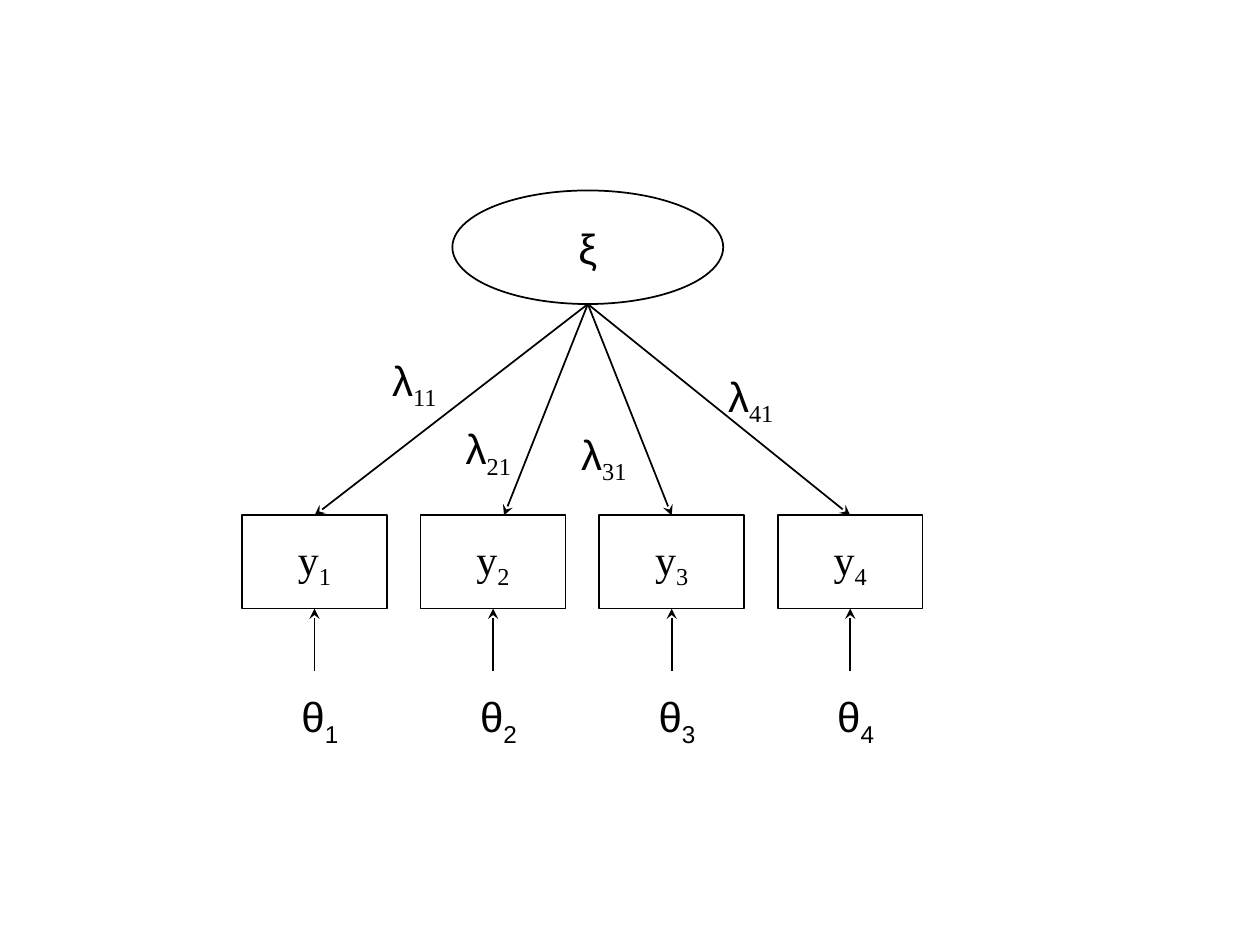
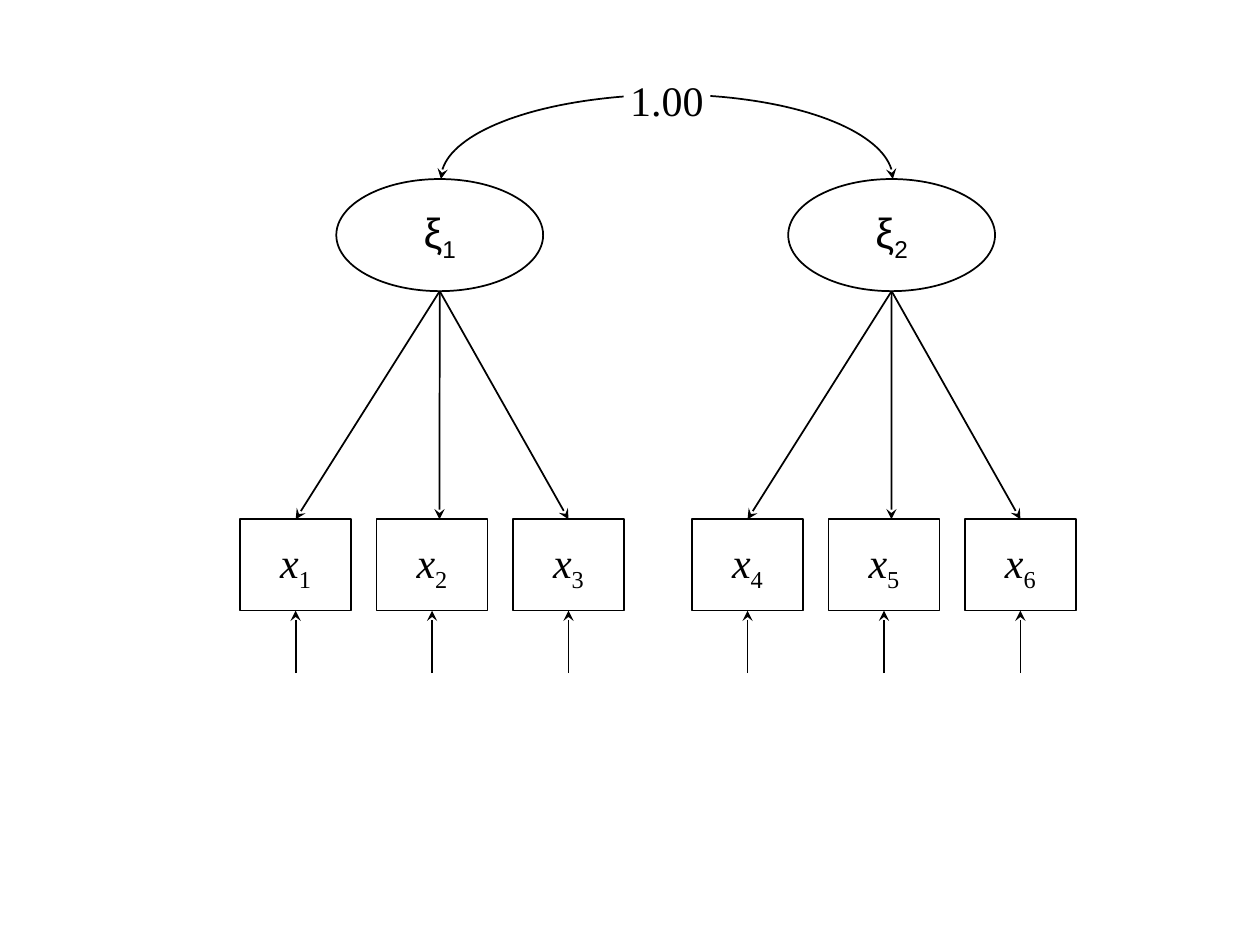
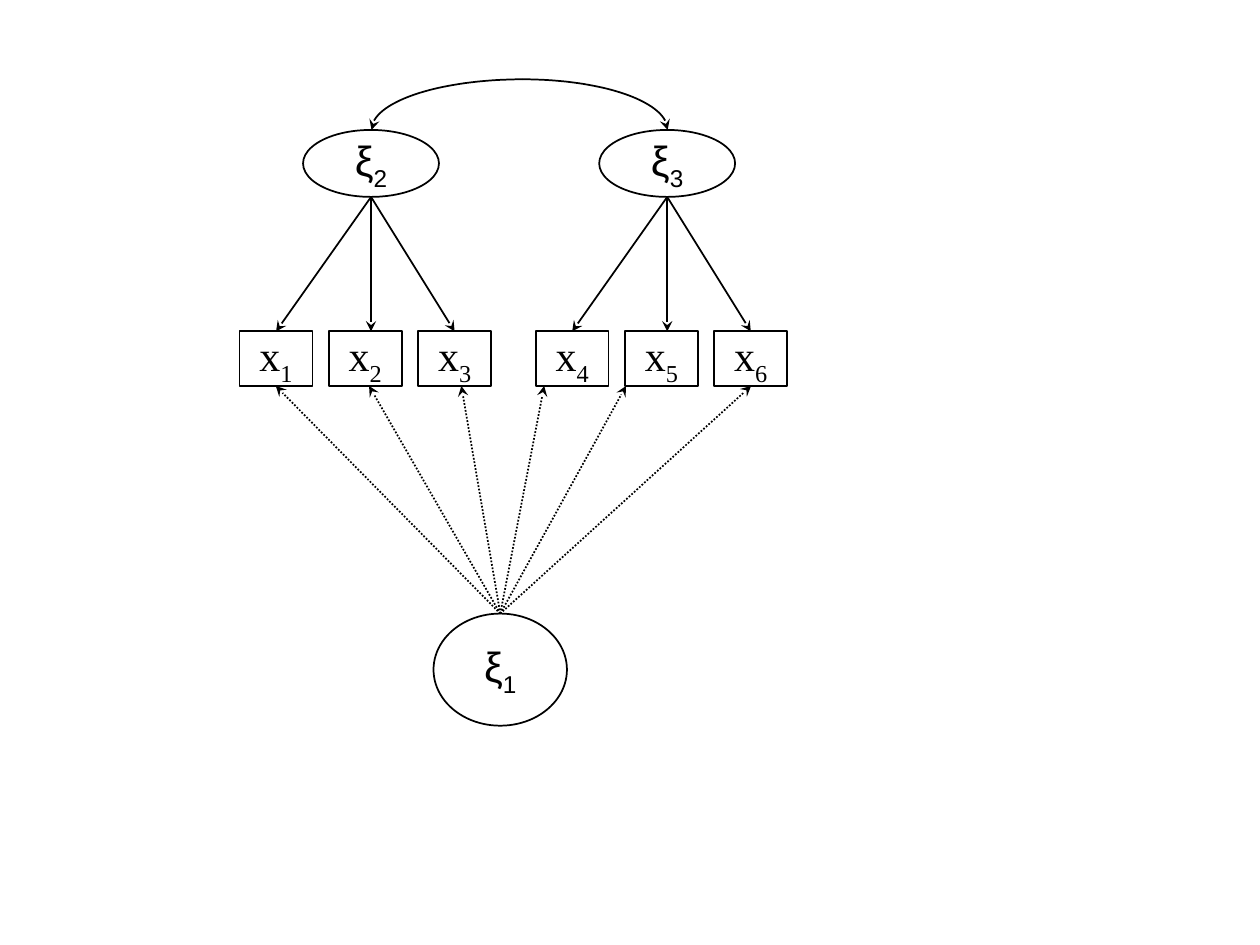
from dataclasses import dataclass
from math import cos, pi, sin

from lxml.etree import SubElement
from pptx import Presentation
from pptx.dml.color import RGBColor
from pptx.enum.dml import MSO_LINE
from pptx.enum.shapes import MSO_CONNECTOR, MSO_SHAPE
from pptx.enum.text import MSO_ANCHOR, PP_ALIGN
from pptx.oxml.ns import qn
from pptx.util import Cm, Pt


@dataclass(frozen=True)
class Theme:
    ink: RGBColor = RGBColor(0, 0, 0)
    paper: RGBColor = RGBColor(255, 255, 255)
    greek: str = "Arial"
    latin: str = "Times New Roman"
    size: Pt = Pt(24)
    stroke: Pt = Pt(1)
    subscript: str = "-25000"


THEME = Theme()


@dataclass(frozen=True)
class Box:
    x: float
    y: float
    w: float
    h: float

    @property
    def cx(self):
        return self.x + self.w / 2

    @property
    def bottom(self):
        return self.y + self.h

    def emu(self):
        return Cm(self.x), Cm(self.y), Cm(self.w), Cm(self.h)


@dataclass(frozen=True)
class FactorLayout:
    oval_x: float
    oval_w: float
    oval_h: float
    cell_w: float
    cell_h: float
    aims: dict
    italic: bool = False


def style_line(sp):
    sp.line.color.rgb = THEME.ink
    sp.line.width = THEME.stroke


def add_tip(sp):
    ln = sp.line._get_or_add_ln()
    SubElement(ln, qn("a:tailEnd"), type="stealth", w="med", len="med")


def write_label(sp, symbol, sub="", font=THEME.greek, sub_font=None, italic=False):
    tf = sp.text_frame
    tf.word_wrap = False
    tf.vertical_anchor = MSO_ANCHOR.MIDDLE
    p = tf.paragraphs[0]
    p.text = symbol
    p.alignment = PP_ALIGN.CENTER
    if sub:
        p.add_run().text = sub
    for r in p.runs:
        r.font.size = THEME.size
        r.font.name = font
        r.font.color.rgb = THEME.ink
    p.runs[0].font.italic = italic
    if sub:
        r.font.name = sub_font or font
        r._r.get_or_add_rPr().set("baseline", THEME.subscript)


def add_node(slide, kind, box, symbol, sub="", **text_style):
    sp = slide.shapes.add_shape(kind, *box.emu())
    sp.shadow.inherit = False
    sp.fill.background()
    style_line(sp)
    write_label(sp, symbol, sub, **text_style)


def add_text(slide, box, symbol, sub, **text_style):
    sp = slide.shapes.add_textbox(*box.emu())
    write_label(sp, symbol, sub, **text_style)


def add_arrow(slide, x1, y1, x2, y2, dotted=False):
    line = slide.shapes.add_connector(
        MSO_CONNECTOR.STRAIGHT, Cm(x1), Cm(y1), Cm(x2), Cm(y2))
    style_line(line)
    if dotted:
        line.line.dash_style = MSO_LINE.ROUND_DOT
    add_tip(line)
    SubElement(line._element.spPr, qn("a:effectLst"))


def add_quarter_arc(slide, apex, top, tip_x, tip_y, steps=40):
    angles = [pi / 2 * i / steps for i in range(steps + 1)]
    points = [(Cm(apex + (tip_x - apex) * sin(a)),
               Cm(tip_y + (top - tip_y) * cos(a))) for a in angles]
    builder = slide.shapes.build_freeform(*points[0])
    builder.add_line_segments(points[1:], close=False)
    sp = builder.convert_to_shape()
    sp.shadow.inherit = False
    sp.fill.background()
    style_line(sp)
    add_tip(sp)


def add_covariance(slide, box, apex_x):
    for tip_x in (box.x, box.x + box.w):
        add_quarter_arc(slide, box.x + apex_x, box.y, tip_x, box.bottom)


def add_factor(slide, box, layout, factor_sub, letter, subs):
    oval = Box(box.x + layout.oval_x, box.y, layout.oval_w, layout.oval_h)
    add_node(slide, MSO_SHAPE.OVAL, oval, "ξ", factor_sub)
    pitch = (box.w - layout.cell_w) / (len(subs) - 1)
    cells = [Box(box.x + i * pitch, box.bottom - layout.cell_h,
                 layout.cell_w, layout.cell_h) for i in range(len(subs))]
    for i, (cell, sub) in enumerate(zip(cells, subs)):
        add_node(slide, MSO_SHAPE.RECTANGLE, cell, letter, sub,
                 font=THEME.latin, italic=layout.italic)
        aim = box.x + layout.aims[i] if i in layout.aims else cell.cx
        add_arrow(slide, oval.cx, oval.bottom, aim, cell.y)
    return cells


def add_errors(slide, cells, length=1.26):
    for cell in cells:
        add_arrow(slide, cell.cx, cell.bottom + length, cell.cx, cell.bottom)


def add_method_factor(slide, circle, targets, target_y):
    add_node(slide, MSO_SHAPE.OVAL, circle, "ξ", "1")
    for x in targets:
        add_arrow(slide, circle.cx, circle.y, x, target_y, dotted=True)


def build_one_factor(slide):
    box = Box(4.88, 3.84, 13.72, 8.43)
    layout = FactorLayout(4.24, 5.46, 2.29, 2.92, 1.88, {1: 5.28})
    cells = add_factor(slide, box, layout, "", "y", "1234")
    add_errors(slide, cells)
    loadings = {
        "11": (2.1, 3.14, 1.48),
        "21": (3.59, 4.63, 1.27),
        "31": (5.92, 4.84, 1.06),
        "41": (8.88, 3.57, 1.27),
    }
    for sub, (x, y, h) in loadings.items():
        add_text(slide, Box(box.x + x, box.y + y, 2.75, h), "λ", sub,
                 sub_font=THEME.latin)
    for cell, sub in zip(cells, "1234"):
        add_text(slide, Box(cell.x - 0.23, cell.bottom + 1.49, 3.6, 1.48), "θ", sub)


def build_two_factors(slide):
    layout = FactorLayout(1.94, 4.17, 2.26, 2.24, 1.84, {1: 4.02}, italic=True)
    for i, subs in enumerate(("123", "456")):
        box = Box(4.84 + 9.11 * i, 3.61, 7.74, 8.7)
        add_errors(slide, add_factor(slide, box, layout, str(i + 1), "x", subs))
    add_covariance(slide, Box(8.89, 1.91, 9.11, 1.7), 4.65)
    sp = slide.shapes.add_shape(
        MSO_SHAPE.RECTANGLE, *Box(12.57, 1.17, 1.75, 1.7).emu())
    sp.shadow.inherit = False
    sp.fill.solid()
    sp.fill.fore_color.rgb = THEME.paper
    sp.line.fill.background()
    write_label(sp, "1.00", font=THEME.latin)


def build_method_model(slide):
    layout = FactorLayout(1.28, 2.74, 1.35, 1.47, 1.1, {1: 2.65})
    for i, subs in enumerate(("123", "456")):
        box = Box(4.83 + 5.97 * i, 2.62, 5.07, 5.16)
        add_factor(slide, box, layout, str(i + 2), "x", subs)
    add_covariance(slide, Box(7.49, 1.6, 5.97, 1.02), 3.05)
    add_method_factor(slide, Box(8.74, 12.37, 2.69, 2.26),
                      (5.56, 7.44, 9.3, 10.97, 12.62, 15.14), box.bottom)


def main():
    prs = Presentation()
    prs.slide_width, prs.slide_height = Cm(25.4), Cm(19.05)
    for build in (build_one_factor, build_two_factors, build_method_model):
        build(prs.slides.add_slide(prs.slide_layouts[6]))
    prs.save("out.pptx")


if __name__ == "__main__":
    main()
